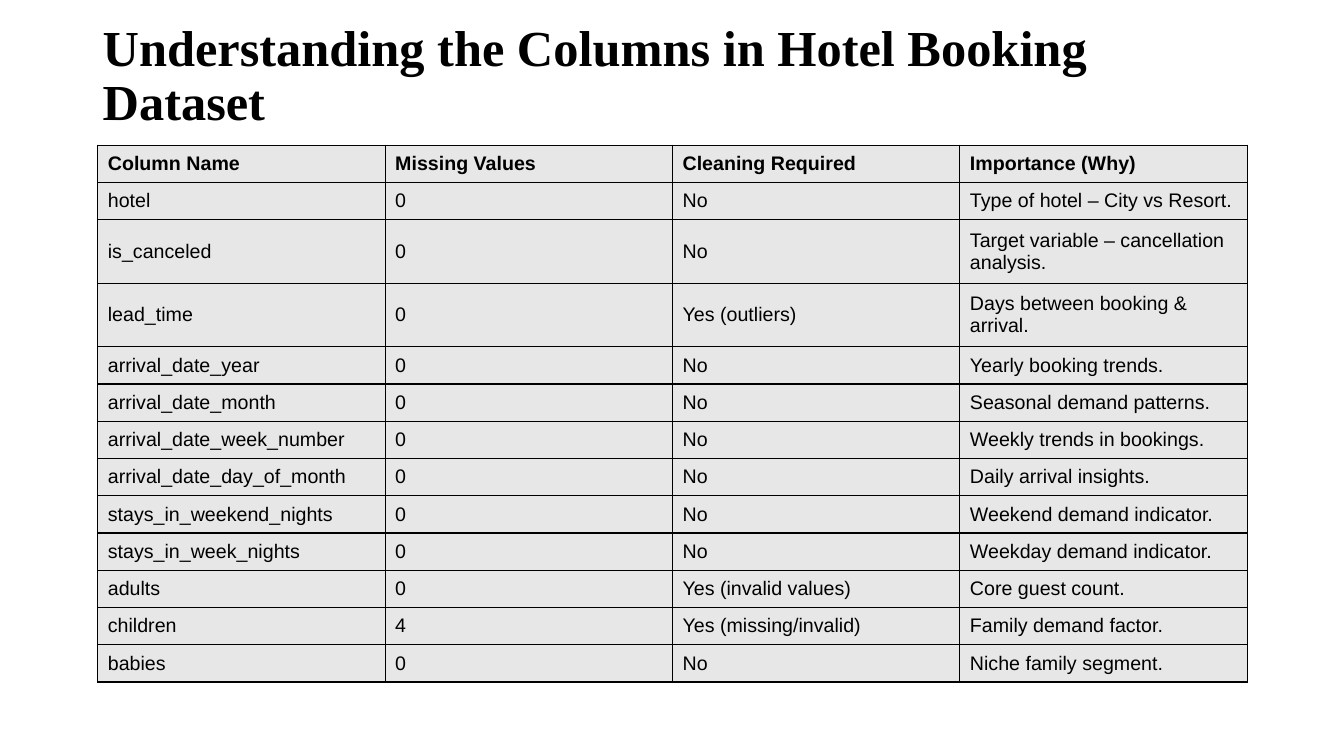
from lxml import etree
from pptx import Presentation
from pptx.dml.color import RGBColor
from pptx.enum.text import MSO_ANCHOR
from pptx.oxml.ns import qn
from pptx.util import Inches, Pt

MIDDLE = MSO_ANCHOR.MIDDLE

# Content
TITLE = "Understanding the Columns in Hotel Booking Dataset"
HEADER = ("Column Name", "Missing Values", "Cleaning Required", "Importance (Why)")
DATASET_COLUMNS = [
    ("hotel", "0", "No", "Type of hotel – City vs Resort."),
    ("is_canceled", "0", "No", "Target variable – cancellation analysis."),
    ("lead_time", "0", "Yes (outliers)", "Days between booking & arrival."),
    ("arrival_date_year", "0", "No", "Yearly booking trends."),
    ("arrival_date_month", "0", "No", "Seasonal demand patterns."),
    ("arrival_date_week_number", "0", "No", "Weekly trends in bookings."),
    ("arrival_date_day_of_month", "0", "No", "Daily arrival insights."),
    ("stays_in_weekend_nights", "0", "No", "Weekend demand indicator."),
    ("stays_in_week_nights", "0", "No", "Weekday demand indicator."),
    ("adults", "0", "Yes (invalid values)", "Core guest count."),
    ("children", "4", "Yes (missing/invalid)", "Family demand factor."),
    ("babies", "0", "No", "Niche family segment."),
]
TWO_LINE_COLUMNS = {"is_canceled", "lead_time"}

THEME = {
    "title_font": "Times New Roman",
    "title_size": 36,
    "table_font": "Arial",
    "table_size": 14,
    "ink": "000000",
    "cell": "E7E7E7",
    "border_width": 1,
}

# Layout, in inches
TITLE_BOX = (0.92, 0.19, 11.5, 1.15)
TABLE_LEFT, TABLE_TOP = 0.97, 1.44
COLUMN_WIDTH = 2.85
ROW_HEIGHT, TWO_LINE_HEIGHT = 0.37, 0.63


def style_text(paragraph, font_name, size, bold):
    for run in paragraph.runs:
        run.font.name = font_name
        run.font.size = Pt(size)
        run.font.bold = bold
        run.font.color.rgb = RGBColor.from_string(THEME["ink"])


def add_borders(cell):
    properties = cell._tc.get_or_add_tcPr()
    for side in ("a:lnL", "a:lnR", "a:lnT", "a:lnB"):
        line = etree.SubElement(properties, qn(side), w=str(Pt(THEME["border_width"])))
        fill = etree.SubElement(line, qn("a:solidFill"))
        etree.SubElement(fill, qn("a:srgbClr"), val=THEME["ink"])


def add_title(slide):
    frame = slide.shapes.add_textbox(*map(Inches, TITLE_BOX)).text_frame
    frame.word_wrap = True
    frame.vertical_anchor = MIDDLE
    frame.text = TITLE
    heading = frame.paragraphs[0]
    heading.line_spacing = 0.9
    style_text(heading, THEME["title_font"], THEME["title_size"], True)


def add_columns_table(slide):
    rows = [HEADER] + DATASET_COLUMNS
    heights = [TWO_LINE_HEIGHT if row[0] in TWO_LINE_COLUMNS else ROW_HEIGHT
               for row in rows]
    table = slide.shapes.add_table(
        len(rows), len(HEADER), Inches(TABLE_LEFT), Inches(TABLE_TOP),
        Inches(COLUMN_WIDTH * len(HEADER)), Inches(sum(heights))).table
    table.horz_banding = False
    for column in table.columns:
        column.width = Inches(COLUMN_WIDTH)

    for r, (row, height) in enumerate(zip(rows, heights)):
        table.rows[r].height = Inches(height)
        for c, wording in enumerate(row):
            cell = table.cell(r, c)
            cell.text_frame.text = wording
            cell.vertical_anchor = MIDDLE
            add_borders(cell)
            cell.fill.solid()
            cell.fill.fore_color.rgb = RGBColor.from_string(THEME["cell"])
            style_text(cell.text_frame.paragraphs[0], THEME["table_font"],
                       THEME["table_size"], r == 0)


def main():
    deck = Presentation()
    deck.slide_width, deck.slide_height = Inches(13.33), Inches(7.5)
    slide = deck.slides.add_slide(deck.slide_layouts[6])
    add_title(slide)
    add_columns_table(slide)
    deck.save("out.pptx")


if __name__ == "__main__":
    main()
